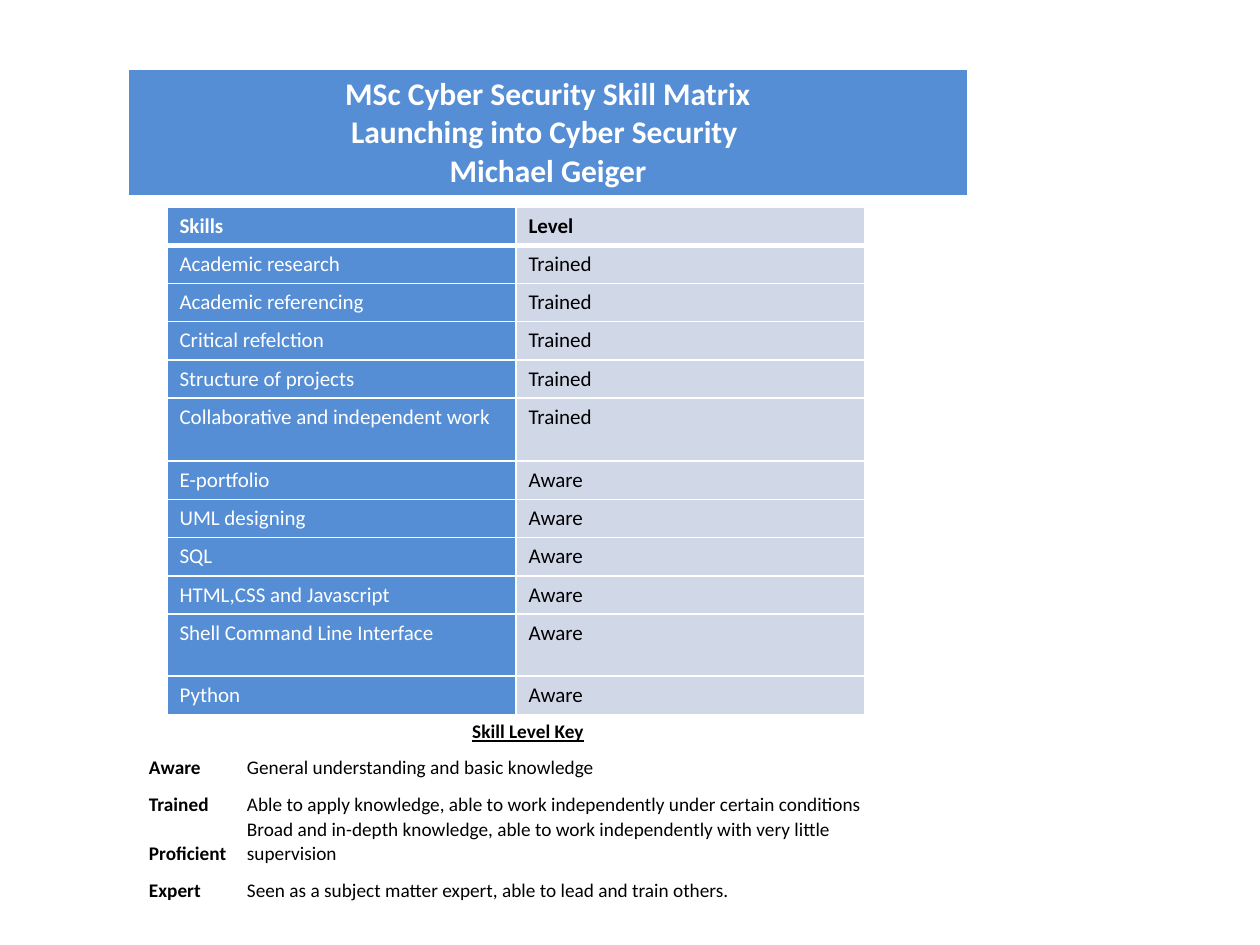
from lxml.etree import SubElement
from pptx import Presentation
from pptx.dml.color import RGBColor
from pptx.enum.text import MSO_ANCHOR, PP_ALIGN
from pptx.oxml.ns import qn
from pptx.util import Emu, Pt

SCALE = 914400 // 126
FONT = "Calibri"
COLORS = {"blue": "558ED5", "pale": "D0D8E8", "white": "FFFFFF", "black": "000000"}
KEY_MARGINS = (1, 1, 1, 0)
ROW_HEIGHT = 38

HEADING = ["MSc Cyber Security Skill Matrix", "Launching into Cyber Security ", "Michael Geiger"]
SKILLS = [
    ("Skills", "Level", ROW_HEIGHT),
    ("Academic research", "Trained", ROW_HEIGHT),
    ("Academic referencing", "Trained", ROW_HEIGHT),
    ("Critical refelction", "Trained", ROW_HEIGHT),
    ("Structure of projects", "Trained", ROW_HEIGHT),
    ("Collaborative and independent work", "Trained", 63),
    ("E-portfolio", "Aware", ROW_HEIGHT),
    ("UML designing", "Aware", ROW_HEIGHT),
    ("SQL", "Aware", ROW_HEIGHT),
    ("HTML,CSS and Javascript", "Aware", ROW_HEIGHT),
    ("Shell Command Line Interface", "Aware", 62),
    ("Python", "Aware", ROW_HEIGHT),
]
LEVELS = [
    ("Aware", "General understanding and basic knowledge", 36),
    ("Trained", "Able to apply knowledge, able to work independently under certain conditions ", 37),
    ("Proficient", "Broad and in-depth knowledge, able to work independently with very little supervision", 47),
    ("Expert", "Seen as a subject matter expert, able to lead and train others.", 37),
]


def px(length):
    return Emu(length * SCALE)


def add_grid(page, left, top, widths, heights):
    frame = page.shapes.add_table(
        len(heights), len(widths), px(left), px(top), px(sum(widths)), px(sum(heights))
    )
    table = frame.table
    table.first_row = table.horz_banding = False
    for column, width in zip(table.columns, widths):
        column.width = px(width)
    for row, height in zip(table.rows, heights):
        row.height = px(height)
    return table


def set_borders(cell, color="white", bottom=1):
    properties = cell._tc.get_or_add_tcPr()
    for tag, width in (("a:lnL", 1), ("a:lnR", 1), ("a:lnT", 1), ("a:lnB", bottom)):
        if color:
            line = SubElement(properties, qn(tag), w=str(Pt(width)))
            fill = SubElement(line, qn("a:solidFill"))
            SubElement(fill, qn("a:srgbClr"), val=COLORS[color])
        else:
            line = SubElement(properties, qn(tag), w="0")
            SubElement(line, qn("a:noFill"))


def write_cell(cell, text, size=12, color="black", bold=False, underline=False,
               align=PP_ALIGN.LEFT, fill=None, anchor=MSO_ANCHOR.TOP, margins=None):
    if fill:
        cell.fill.solid()
        cell.fill.fore_color.rgb = RGBColor.from_string(COLORS[fill])
    else:
        cell.fill.background()
    cell.vertical_anchor = anchor
    if margins:
        cell.margin_left, cell.margin_top, cell.margin_right, cell.margin_bottom = map(px, margins)
    cell.text = text
    for para in cell.text_frame.paragraphs:
        para.alignment = align
        for span in para.runs:
            span.font.name = FONT
            span.font.size = Pt(size)
            span.font.bold = bold
            span.font.underline = underline
            span.font.color.rgb = RGBColor.from_string(COLORS[color])


def add_heading(page, left, top, width, height):
    cell = add_grid(page, left, top, [width], [height]).cell(0, 0)
    set_borders(cell, bottom=3)
    write_cell(cell, "\n".join(HEADING), size=18, color="white", bold=True,
               align=PP_ALIGN.CENTER, fill="blue")


def add_skills(page, left, top, width):
    table = add_grid(page, left, top, [width // 2] * 2, [height for *_, height in SKILLS])
    for index, (skill, level, _) in enumerate(SKILLS):
        header = index == 0
        for column, (text, color, fill) in enumerate(
            ((skill, "white", "blue"), (level, "black", "pale"))
        ):
            cell = table.cell(index, column)
            set_borders(cell, bottom=3 if header else 1)
            write_cell(cell, text, color=color, bold=header, fill=fill)


def add_level_key(page, left, top, width):
    name_width = 98
    heights = [55] + [height for *_, height in LEVELS]
    table = add_grid(page, left, top, [name_width, width - name_width], heights)
    style = {"size": 11, "anchor": MSO_ANCHOR.BOTTOM, "margins": KEY_MARGINS}
    for cell in table.iter_cells():
        set_borders(cell, color=None)
        cell.fill.background()
    table.cell(0, 0).merge(table.cell(0, 1))
    write_cell(table.cell(0, 0), "Skill Level Key", bold=True, underline=True,
               align=PP_ALIGN.CENTER, **style)
    for index, (name, meaning, _) in enumerate(LEVELS, 1):
        write_cell(table.cell(index, 0), name, bold=True, **style)
        write_cell(table.cell(index, 1), meaning, **style)


deck = Presentation()
deck.slide_width, deck.slide_height = px(1260), px(945)
page = deck.slides.add_slide(deck.slide_layouts[6])
add_skills(page, 167, 207, 698)
add_level_key(page, 148, 689, 760)
add_heading(page, 128, 69, 840, 126)
deck.save("out.pptx")
